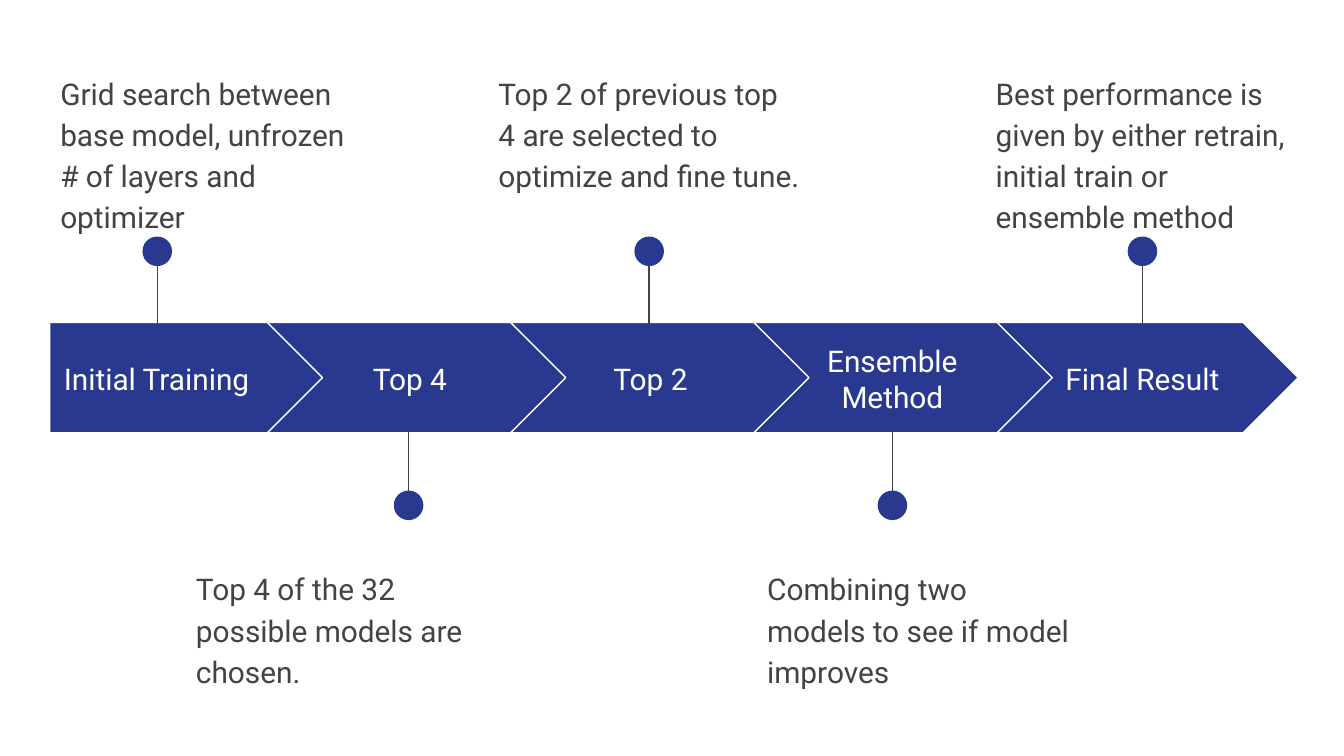
from pptx import Presentation
from pptx.dml.color import RGBColor
from pptx.enum.shapes import MSO_CONNECTOR, MSO_SHAPE
from pptx.enum.text import MSO_ANCHOR as Anchor, PP_ALIGN as Align
from pptx.oxml.ns import qn
from pptx.util import Inches, Pt
from lxml import etree

BLUE, GRAY, WHITE = "2A3990", "434343", "FFFFFF"
ARROW_TOP, ARROW_HEIGHT = 2.4, 0.82
CHEVRON_LEFT, CHEVRON_STEP, CHEVRON_WIDTH = 1.99, 1.81, 2.24
DOT_SIZE, PIN_LENGTH = 0.22, 0.61
CAPTION_ABOVE, CAPTION_BELOW = 0.42, 4.11
LABEL_FORMAT = {"alignment": Align.CENTER}
CAPTION_FORMAT = {"line_spacing": 1.15, "space_after": Pt(16)}

# label, label left, label width, pin x, caption left, caption
STEPS = [
    ("Initial Training", 0.37, 1.59, 1.17, 0.35,
     "Grid search between base model, unfrozen # of layers and optimizer"),
    ("Top 4", 2.33, 1.44, 3.04, 1.36,
     "Top 4 of the 32 possible models are chosen."),
    ("Top 2", 4.12, 1.44, 4.83, 3.61,
     "Top 2 of previous top 4 are selected to optimize and fine tune."),
    ("Ensemble Method", 5.92, 1.44, 6.64, 5.61,
     "Combining two models to see if model improves"),
    ("Final Result", 7.78, 1.44, 8.5, 7.31,
     "Best performance is given by either retrain, initial train or ensemble method"),
]


def color(value):
    return RGBColor.from_string(value)


def add_text(page, box, text, font_color, anchor, para_format):
    frame = page.shapes.add_textbox(*map(Inches, box)).text_frame
    frame.word_wrap = True
    frame.vertical_anchor = anchor
    for side in ("left", "top", "right", "bottom"):
        setattr(frame, f"margin_{side}", Inches(0.1))
    para = frame.paragraphs[0]
    for name, value in para_format.items():
        setattr(para, name, value)
    span = para.add_run()
    span.text = text
    for name, value in {"name": "Roboto", "size": Pt(16)}.items():
        setattr(span.font, name, value)
    span.font.color.rgb = color(font_color)


def add_blue_shape(page, kind, box):
    shape = page.shapes.add_shape(kind, *map(Inches, box))
    shape.shadow.inherit = False
    shape.fill.solid()
    shape.fill.fore_color.rgb = color(BLUE)
    return shape


def add_arrow(page, index):
    if index == 0:
        kind, left, width = MSO_SHAPE.PENTAGON, 0.37, 2.05
    else:
        kind, width = MSO_SHAPE.CHEVRON, CHEVRON_WIDTH
        left = CHEVRON_LEFT + (index - 1) * CHEVRON_STEP
    arrow = add_blue_shape(page, kind, (left, ARROW_TOP, width, ARROW_HEIGHT))
    arrow.adjustments[0] = 0.5
    arrow.line.color.rgb = color(WHITE)
    arrow.line.width = Pt(0.75)


def add_pin(page, x, above):
    """Draw a stem from the arrow band to a dot above or below it."""
    if above:
        start, end, dot_top = 2.41 - PIN_LENGTH, 2.41, 1.76
    else:
        start, end, dot_top = 3.21 + PIN_LENGTH, 3.21, 3.65
    stem = page.shapes.add_connector(
        MSO_CONNECTOR.STRAIGHT, *map(Inches, (x, start, x, end)))
    stem.line.color.rgb = color(GRAY)
    stem.line.width = Pt(0.75)
    etree.SubElement(stem._element.spPr, qn("a:effectLst"))
    dot = add_blue_shape(page, MSO_SHAPE.OVAL,
                         (x - DOT_SIZE / 2, dot_top, DOT_SIZE, DOT_SIZE))
    dot.line.fill.background()


def add_step(page, index, step):
    label, label_left, label_width, pin_x, caption_left, caption = step
    above = index % 2 == 0
    add_arrow(page, index)
    add_text(page, (label_left, 2.56, label_width, 0.51), label,
             WHITE, Anchor.MIDDLE, LABEL_FORMAT)
    add_pin(page, pin_x, above)
    caption_top = CAPTION_ABOVE if above else CAPTION_BELOW
    add_text(page, (caption_left, caption_top, 2.45, 0.99), caption,
             GRAY, Anchor.TOP, CAPTION_FORMAT)


def main():
    deck = Presentation()
    deck.slide_width = Inches(10)
    deck.slide_height = Inches(10 * 9 / 16)
    page = deck.slides.add_slide(deck.slide_layouts[6])
    for index, step in enumerate(STEPS):
        add_step(page, index, step)
    deck.save("out.pptx")


if __name__ == "__main__":
    main()
